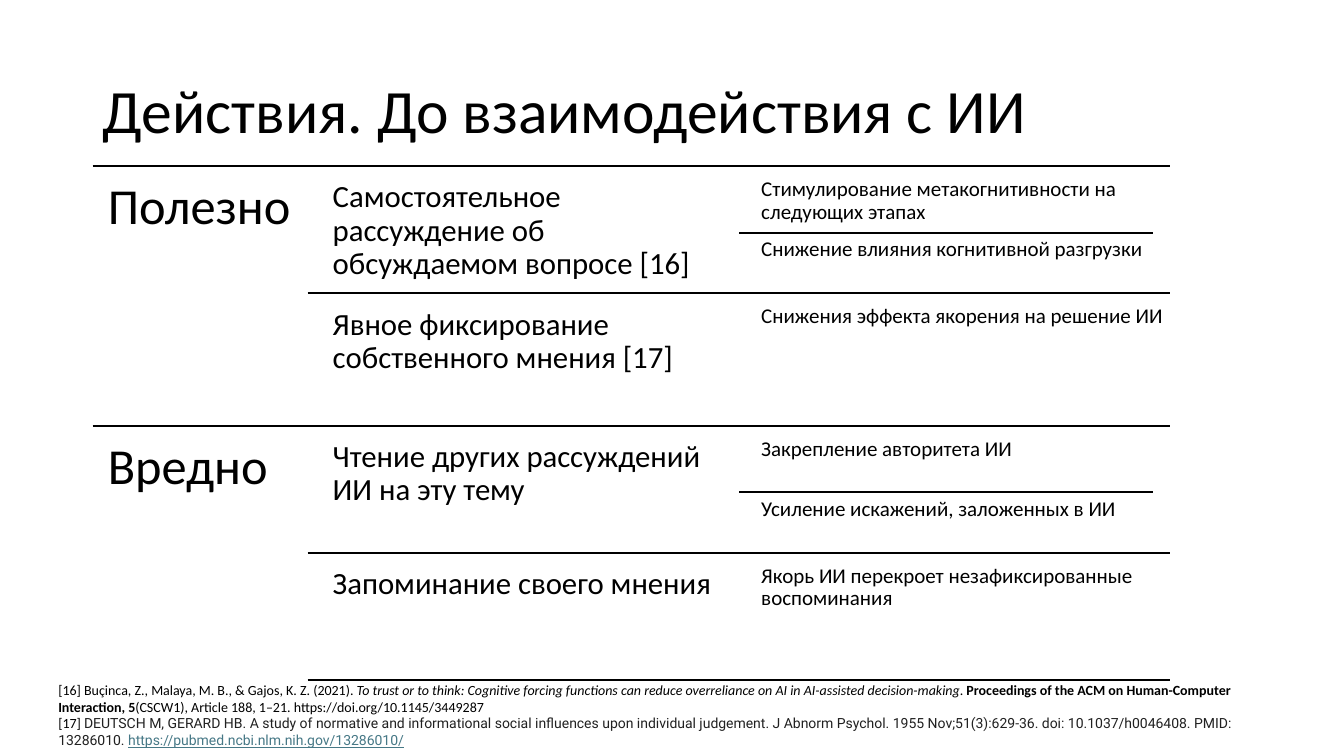
"""Builds a slide of useful and harmful actions to take before interacting with AI."""
from lxml import etree
from pptx import Presentation
from pptx.dml.color import RGBColor
from pptx.enum.shapes import MSO_CONNECTOR
from pptx.enum.text import MSO_ANCHOR
from pptx.oxml.ns import qn
from pptx.util import Inches, Pt

STRAIGHT = MSO_CONNECTOR.STRAIGHT
TOP, MIDDLE = MSO_ANCHOR.TOP, MSO_ANCHOR.MIDDLE
BLACK = "000000"

SECTION_LEFT, ACTION_LEFT, EFFECT_LEFT = 0.92, 3.21, 7.49
ACTION_RULE, EFFECT_RULE = 3.05, 7.33
TABLE_RIGHT, EFFECT_RULE_RIGHT = 11.6, 11.44
TABLE_TOP, SECTION_HEIGHT = 1.65, 2.575
COLUMN_WIDTH, ACTION_HEIGHT, GAP = 4.11, 1.2, 0.06

sections = [
    ("Полезно", [
        ("Самостоятельное рассуждение об обсуждаемом вопросе [16]",
         ["Стимулирование метакогнитивности на следующих этапах",
          "Снижение влияния когнитивной разгрузки"]),
        ("Явное фиксирование собственного мнения [17]",
         ["Снижения эффекта якорения на решение ИИ"]),
    ]),
    ("Вредно", [
        ("Чтение других рассуждений ИИ на эту тему",
         ["Закрепление авторитета ИИ",
          "Усиление искажений, заложенных в ИИ"]),
        ("Запоминание своего мнения",
         ["Якорь ИИ перекроет незафиксированные воспоминания"]),
    ]),
]

references = [
    [("[16] Buçinca, Z., Malaya, M. B., & Gajos, K. Z. (2021). ", {}),
     ("To trust or to think: Cognitive forcing functions can reduce overreliance "
      "on AI in AI-assisted decision-making", {"italic": True}),
     (". ", {}),
     ("Proceedings of the ACM on Human-Computer Interaction, 5", {"bold": True}),
     ("(CSCW1), Article 188, 1–21. https://doi.org/10.1145/3449287", {})],
    [("[17] ", {}),
     ("DEUTSCH M, GERARD HB. A study of normative and informational social influences "
      "upon individual judgement. J Abnorm Psychol. 1955 Nov;51(3):629-36. "
      "doi: 10.1037/h0046408. PMID: 13286010. ", {"face": "Roboto", "color": "212121"}),
     ("https://pubmed.ncbi.nlm.nih.gov/13286010/",
      {"face": "Roboto", "color": "467886", "underline": True})],
]

prs = Presentation()
prs.slide_width, prs.slide_height = Inches(13.33), Inches(7.5)
slide = prs.slides.add_slide(prs.slide_layouts[6])


def write(content, left, top, width, height, size, inset=None, anchor=TOP, spacing=0.9):
    """Adds a text box; content is a string or a list of paragraphs made of (text, format) runs."""
    frame = slide.shapes.add_textbox(*map(Inches, (left, top, width, height))).text_frame
    frame.word_wrap = True
    frame.vertical_anchor = anchor
    if inset is not None:
        frame.margin_left = frame.margin_right = Inches(inset)
        frame.margin_top = frame.margin_bottom = Inches(inset)
    paragraphs = [[(content, {})]] if isinstance(content, str) else content
    for index, runs in enumerate(paragraphs):
        paragraph = frame.add_paragraph() if index else frame.paragraphs[0]
        paragraph.line_spacing = spacing
        for text, style in runs:
            run = paragraph.add_run()
            run.text = text
            font = run.font
            font.size = Pt(size)
            font.name = style.get("face", "Calibri")
            font.color.rgb = RGBColor.from_string(style.get("color", BLACK))
            font.bold = style.get("bold", False)
            font.italic = style.get("italic", False)
            font.underline = style.get("underline", False)


def rule(left, right, y):
    """Adds a horizontal black rule."""
    line = slide.shapes.add_connector(
        STRAIGHT, Inches(left), Inches(y), Inches(right), Inches(y))
    line.line.color.rgb = RGBColor.from_string(BLACK)
    line.line.width = Pt(1.5)
    etree.SubElement(line.element.spPr, qn("a:effectLst"))


write("Действия. До взаимодействия с ИИ", SECTION_LEFT, 0.4, 11.5, 1.45, 44, anchor=MIDDLE)

for section_index, (section, actions) in enumerate(sections):
    section_top = TABLE_TOP + section_index * SECTION_HEIGHT
    rule(SECTION_LEFT, TABLE_RIGHT, section_top)
    write(section, SECTION_LEFT, section_top, 2.14, SECTION_HEIGHT, 36, inset=0.15)

    for action_index, (action, effects) in enumerate(actions):
        action_top = section_top + GAP + action_index * (ACTION_HEIGHT + GAP)
        if action_index:
            rule(ACTION_RULE, TABLE_RIGHT, action_top - GAP)
        write(action, ACTION_LEFT, action_top, COLUMN_WIDTH, ACTION_HEIGHT, 22, inset=0.09)

        effect_height = ACTION_HEIGHT / len(effects)
        for effect_index, effect in enumerate(effects):
            effect_top = action_top + effect_index * effect_height
            if effect_index:
                rule(EFFECT_RULE, EFFECT_RULE_RIGHT, effect_top)
            write(effect, EFFECT_LEFT, effect_top, COLUMN_WIDTH, effect_height, 15, inset=0.06)

rule(ACTION_RULE, TABLE_RIGHT, action_top + ACTION_HEIGHT)
write(references, 0.48, 6.71, 12.37, 0.77, 10, spacing=1.0)

prs.save("out.pptx")
